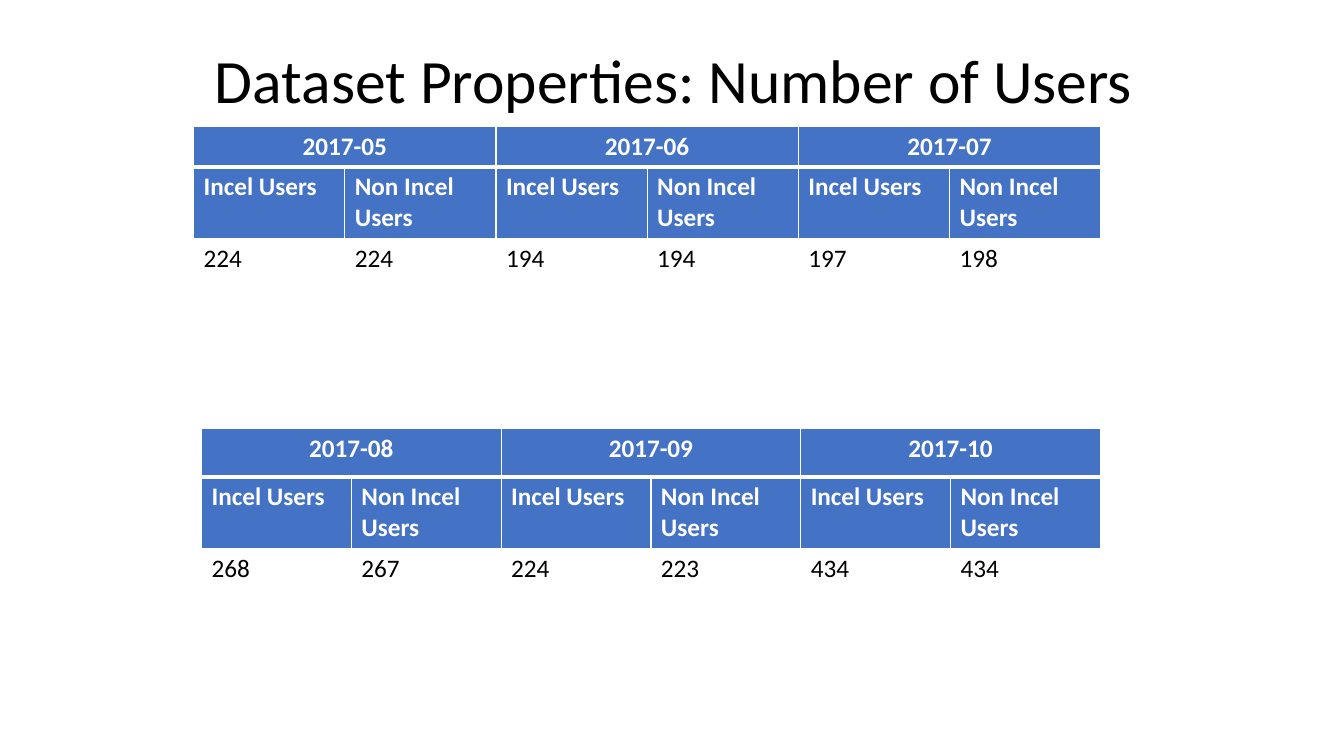
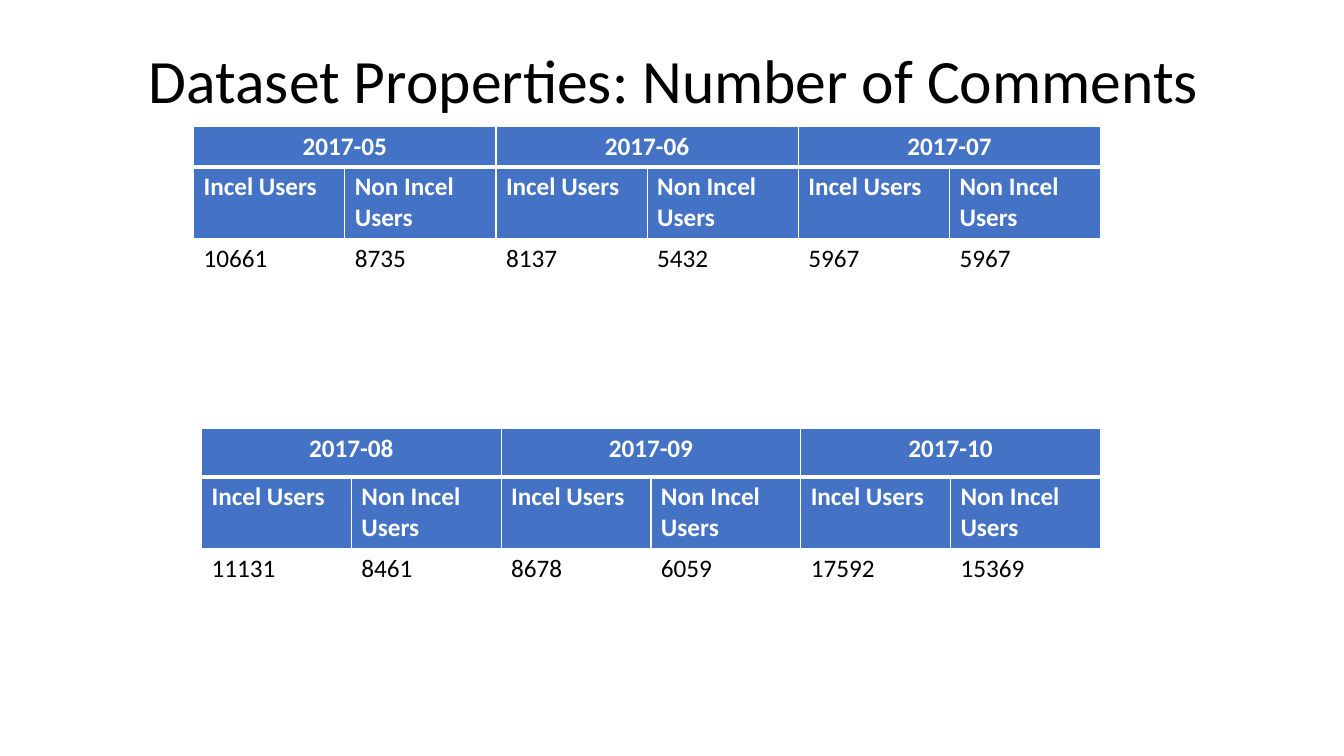
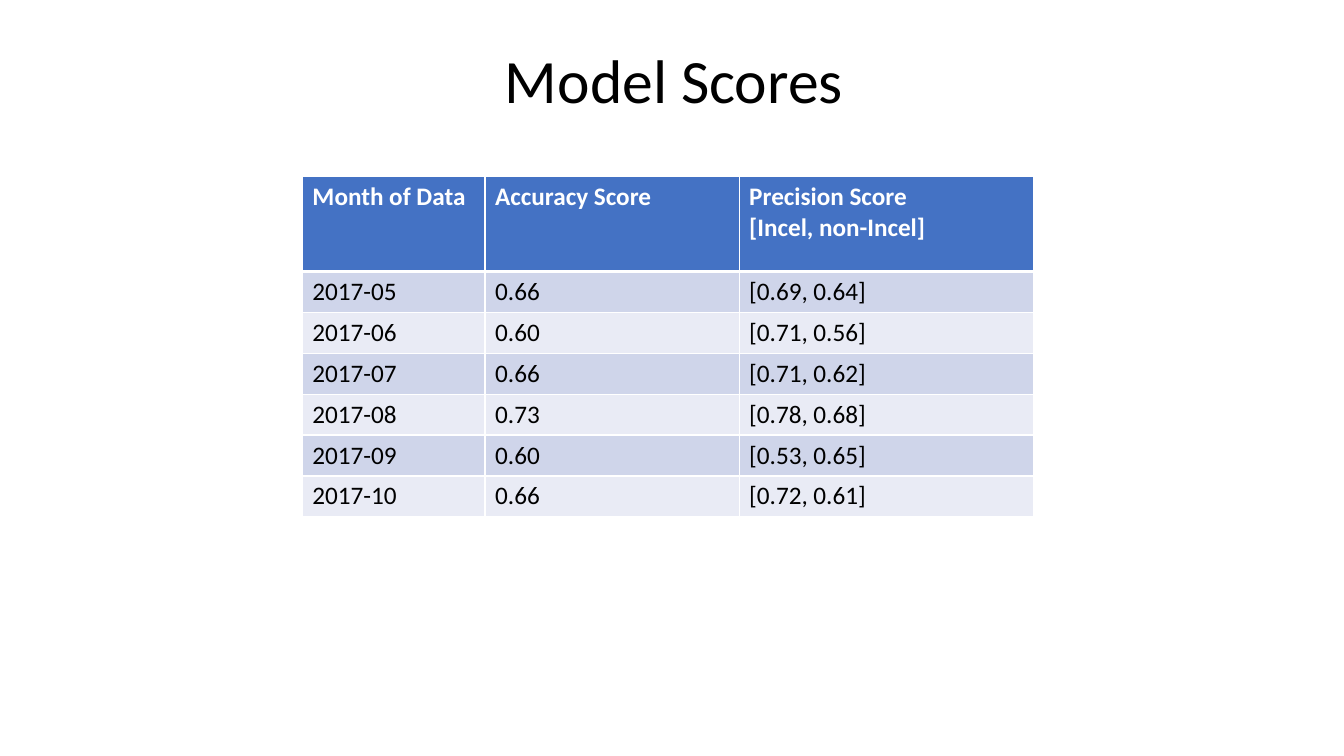
from dataclasses import dataclass

from lxml.etree import SubElement
from pptx import Presentation
from pptx.dml.color import RGBColor
from pptx.enum.text import MSO_ANCHOR, PP_ALIGN
from pptx.oxml.ns import qn
from pptx.util import Pt


@dataclass(frozen=True)
class Theme:
    font: str = "Calibri"
    title_size: int = 44
    cell_size: int = 18
    ink: str = "000000"
    white: str = "FFFFFF"
    header: str = "4472C4"
    bands: tuple = ("CFD5EA", "E9EBF5")
    thin: int = 1
    thick: int = 3


theme = Theme()


def add_span(para, text, size, color, bold=False):
    span = para.add_run()
    span.text = text
    span.font.name = theme.font
    span.font.size = Pt(size)
    span.font.bold = bold
    span.font.color.rgb = RGBColor.from_string(color)


def add_grid(page, left, top, widths, heights, rows, fills):
    frame = page.shapes.add_table(
        len(rows), len(widths), Pt(left), Pt(top), Pt(sum(widths)), Pt(sum(heights))
    )
    table = frame.table
    table.horz_banding = False
    for column, width in zip(table.columns, widths):
        column.width = Pt(width)
    for row, height in zip(table.rows, heights):
        row.height = Pt(height)

    for r, (texts, fill) in enumerate(zip(rows, fills)):
        for c, text in enumerate(texts):
            cell = table.cell(r, c)
            properties = cell._tc.get_or_add_tcPr()
            for side in ("lnL", "lnR", "lnT", "lnB"):
                under_header = (r, side) in ((0, "lnB"), (1, "lnT"))
                weight = theme.thick if under_header else theme.thin
                line = SubElement(properties, qn(f"a:{side}"), w=str(Pt(weight)))
                solid = SubElement(line, qn("a:solidFill"))
                SubElement(solid, qn("a:srgbClr"), val=theme.white)
            if fill:
                cell.fill.solid()
                cell.fill.fore_color.rgb = RGBColor.from_string(fill)
            else:
                cell.fill.background()
            if text is None:
                table.cell(r, c - 1).merge(cell)
                table.cell(r, c - 1).text_frame.paragraphs[0].alignment = PP_ALIGN.CENTER
                continue
            is_header = fill == theme.header
            color = theme.white if is_header else theme.ink
            for i, part in enumerate(text.split("\n")):
                box = cell.text_frame
                para = box.add_paragraph() if i else box.paragraphs[0]
                add_span(para, part, theme.cell_size, color, is_header)


months = ["2017-05", "2017-06", "2017-07", "2017-08", "2017-09", "2017-10"]
count_slides = {
    "Dataset Properties: Number of Users": [
        ["224", "224", "194", "194", "197", "198"],
        ["268", "267", "224", "223", "434", "434"],
    ],
    "Dataset Properties: Number of Comments": [
        ["10661", "8735", "8137", "5432", "5967", "5967"],
        ["11131", "8461", "8678", "6059", "17592", "15369"],
    ],
}
count_places = [
    (138.24, 90, 108, (29, 51, 130)),
    (144, 306, 107, (34.5, 51, 103)),
]
scores = [
    ("0.66", "[0.69, 0.64]"),
    ("0.60", "[0.71, 0.56]"),
    ("0.66", "[0.71, 0.62]"),
    ("0.73", "[0.78, 0.68]"),
    ("0.60", "[0.53, 0.65]"),
    ("0.66", "[0.72, 0.61]"),
]

deck = Presentation()
deck.slide_width, deck.slide_height = Pt(960), Pt(540)
layout = deck.slide_layouts.get_by_name("Title Only")
title_box = layout.placeholders[0]
title_box.left, title_box.top = Pt(67.5), Pt(7.2)
title_box.width, title_box.height = Pt(828), Pt(104.4)
title_box.text_frame.vertical_anchor = MSO_ANCHOR.MIDDLE

pages = []
for title in [*count_slides, "Model Scores"]:
    page = deck.slides.add_slide(layout)
    para = page.shapes.title.text_frame.paragraphs[0]
    para.alignment = PP_ALIGN.CENTER
    para.line_spacing = 0.9
    add_span(para, title, theme.title_size, theme.ink)
    pages.append(page)

for page, counts in zip(pages, count_slides.values()):
    for i, (left, top, width, heights) in enumerate(count_places):
        quarter = months[3 * i:3 * i + 3]
        rows = [
            [text for month in quarter for text in (month, None)],
            ["Incel Users", "Non Incel Users"] * 3,
            counts[i],
        ]
        fills = [theme.header, theme.header, None]
        add_grid(page, left, top, [width] * 6, heights, rows, fills)

score_rows = [("Month of Data", "Accuracy Score", "Precision Score\n[Incel, non-Incel]")]
score_rows += [(month, *score) for month, score in zip(months, scores)]
score_fills = [theme.header, *theme.bands * 3]
add_grid(pages[-1], 216, 126, [130.5, 181.5, 210], [68] + [29.2] * 6, score_rows, score_fills)

deck.save("out.pptx")
